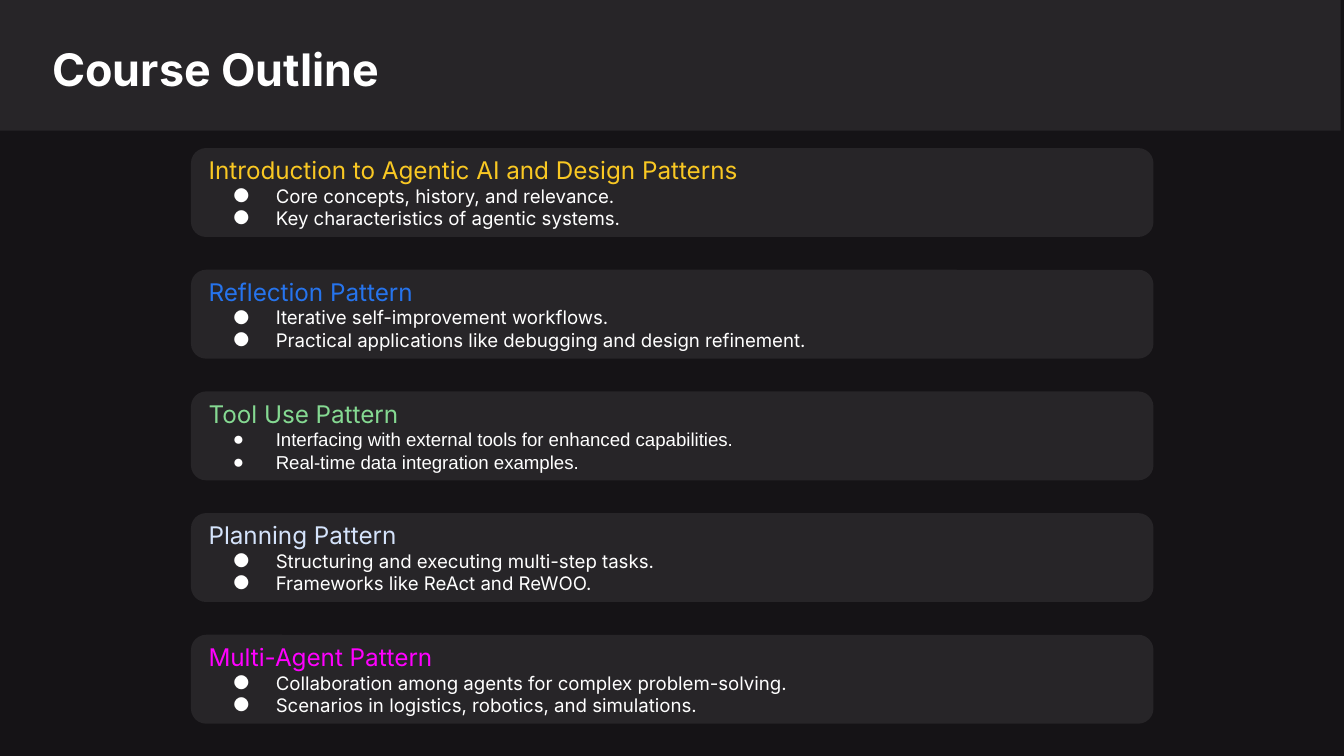
from lxml import etree
from pptx import Presentation
from pptx.dml import color
from pptx.enum import shapes, text
from pptx.oxml import ns
from pptx.util import Cm, Pt


def rgb(value):
    return color.RGBColor.from_string(value)


def write(tf, content, size=10, font="Inter", fill="FFFFFF", bold=False, bullet=False, first=False):
    p = tf.paragraphs[0] if first else tf.add_paragraph()
    p.alignment = text.PP_ALIGN.LEFT
    r = p.add_run()
    r.text = content
    r.font.size = Pt(size)
    r.font.name = font
    r.font.bold = bold
    r.font.color.rgb = rgb(fill)
    if bullet:
        pPr = p._p.get_or_add_pPr()
        pPr.set("marL", str(Cm(1.27)))
        pPr.set("indent", str(Cm(-0.81)))
        buClr = etree.SubElement(pPr, ns.qn("a:buClr"))
        etree.SubElement(buClr, ns.qn("a:srgbClr"), val=fill)
        etree.SubElement(pPr, ns.qn("a:buFont"), typeface=font)
        etree.SubElement(pPr, ns.qn("a:buChar"), char="●")


prs = Presentation()
prs.slide_width = Cm(25.4)
prs.slide_height = Cm(14.29)
s = prs.slides.add_slide(prs.slide_layouts[6])
s.background.fill.solid()
s.background.fill.fore_color.rgb = rgb("151316")

band = s.shapes.add_shape(shapes.MSO_SHAPE.RECTANGLE, Cm(0), Cm(-0.02), Cm(25.34), Cm(2.49))
title = s.shapes.add_textbox(Cm(0.74), Cm(0.53), Cm(22.2), Cm(1.47))
write(title.text_frame, "Course Outline", size=24, bold=True, first=True)

modules = [
    ("Introduction to Agentic AI and Design Patterns", "F9C823", "Inter",
     ["Core concepts, history, and relevance.",
      "Key characteristics of agentic systems."]),
    ("Reflection Pattern", "2674ED", "Inter",
     ["Iterative self-improvement workflows.",
      "Practical applications like debugging and design refinement."]),
    ("Tool Use Pattern", "85D992", "Arial",
     ["Interfacing with external tools for enhanced capabilities.",
      "Real-time data integration examples."]),
    ("Planning Pattern", "D4E3FB", "Inter",
     ["Structuring and executing multi-step tasks.",
      "Frameworks like ReAct and ReWOO."]),
    ("Multi-Agent Pattern", "FF00FF", "Inter",
     ["Collaboration among agents for complex problem-solving.",
      "Scenarios in logistics, robotics, and simulations."]),
]

cards = []
for i, (heading, accent, font, points) in enumerate(modules):
    sp = s.shapes.add_shape(shapes.MSO_SHAPE.ROUNDED_RECTANGLE,
                            Cm(3.61), Cm(2.8 + 2.3 * i), Cm(18.19), Cm(1.68))
    sp.adjustments[0] = 0.17
    sp.text_frame.vertical_anchor = text.MSO_ANCHOR.MIDDLE
    write(sp.text_frame, heading, size=13, fill=accent, first=True)
    for point in points:
        write(sp.text_frame, point, font=font, bullet=True)
    cards.append(sp)

for sp in [band, *cards]:
    sp.shadow.inherit = False
    sp.fill.solid()
    sp.fill.fore_color.rgb = rgb("272528")
    sp.line.fill.background()

for sp in [title, *cards]:
    tf = sp.text_frame
    tf.word_wrap = True
    tf.margin_left = tf.margin_right = tf.margin_top = tf.margin_bottom = Cm(0.25)

prs.save("out.pptx")
